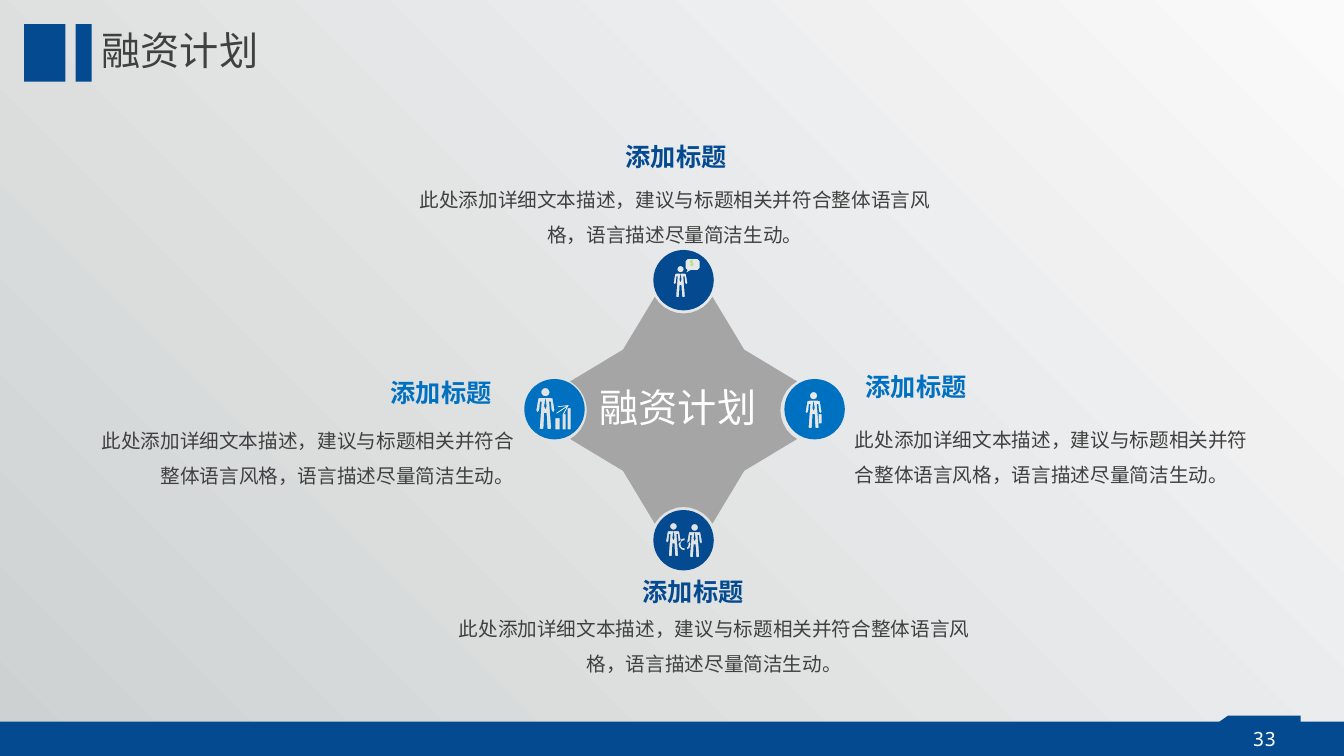
from math import cos, radians, sin

from lxml.etree import SubElement
from pptx import Presentation
from pptx.dml.color import RGBColor
from pptx.enum.shapes import MSO_CONNECTOR, MSO_SHAPE
from pptx.enum.text import MSO_ANCHOR, PP_ALIGN
from pptx.oxml.ns import qn
from pptx.util import Emu, Pt

PX = 9144  # EMU per px, 100 px to the inch

NAVY = RGBColor(0x04, 0x4A, 0x91)
BLUE = RGBColor(0x00, 0x70, 0xC0)
GRAY = RGBColor(0xA5, 0xA5, 0xA5)
DARK = RGBColor(0x40, 0x40, 0x40)
WHITE = RGBColor(0xFF, 0xFF, 0xFF)
LIME = RGBColor(0xB1, 0xDE, 0x64)
BG_DARK = RGBColor(0xCE, 0xD1, 0xD2)
BG_LIGHT = RGBColor(0xFA, 0xFA, 0xFA)

MONO = "Noto Sans Mono"
CJK = "Noto Sans CJK SC"

HUB_X, HUB_Y = 678, 407
ARM = 129
TOPIC = "融资计划"
HEADING = "添加标题"
DETAIL = "此处添加详细文本描述，建议与标题相关并符合整体语言风格，语言描述尽量简洁生动。"

# Right half of a figure, in hundredths of its height
HALF_BODY = [(12, 24), (17, 25), (22, 54), (19, 59), (15, 54), (13, 33),
             (9, 33), (14, 98), (9, 100), (5, 98), (3, 61)]
BODY = HALF_BODY + [(-x, y) for x, y in reversed(HALF_BODY)]
TIE = [(0, 25), (3, 44), (0, 51), (-3, 44)]

BUBBLE = [(682, 257), (692, 257), (694, 259), (694, 266), (692, 268),
          (685, 268), (680, 271), (682, 268), (680, 266), (680, 259)]


def paint(sp, color):
    sp.shadow.inherit = False
    sp.fill.solid()
    sp.fill.fore_color.rgb = color
    sp.line.fill.background()


def add_block(slide, x, y, w, h, color):
    box = [Emu(v * PX) for v in (x, y, w, h)]
    paint(slide.shapes.add_shape(MSO_SHAPE.RECTANGLE, *box), color)


def add_outline(slide, color, *contours):
    """One freeform; a contour inside another one cuts a hole."""
    # Vertices are kept in tenths of a px
    contours = [[(x * 10, y * 10) for x, y in c] for c in contours]
    builder = slide.shapes.build_freeform(*contours[0][0], scale=PX / 10)
    for i, contour in enumerate(contours):
        if i:
            builder.move_to(*contour[0])
        builder.add_line_segments(contour[1:], close=True)
    paint(builder.convert_to_shape(), color)


def add_text(slide, text, x, y, w, h, size, color, font=MONO, bold=False,
             align=PP_ALIGN.LEFT, wrap=True, anchor=MSO_ANCHOR.TOP,
             spacing=None, pad=5):
    sp = slide.shapes.add_textbox(*[Emu(v * PX) for v in (x, y, w, h)])
    tf = sp.text_frame
    tf.word_wrap = wrap
    tf.vertical_anchor = anchor
    tf.margin_top = tf.margin_bottom = Emu(pad * PX)
    p = tf.paragraphs[0]
    p.text = text
    p.alignment = align
    p.line_spacing = spacing
    r = p.runs[0]
    r.font.size = Pt(size)
    r.font.bold = bold
    r.font.color.rgb = color
    r.font.name = font
    SubElement(r.font._element, qn("a:ea")).set("typeface", CJK)


def add_arrow(slide, x1, y1, x2, y2):
    ends = [Emu(v * PX) for v in (x1, y1, x2, y2)]
    cx = slide.shapes.add_connector(MSO_CONNECTOR.STRAIGHT, *ends)
    cx.line.color.rgb = WHITE
    cx.line.width = Pt(0.5)
    SubElement(cx.line._get_or_add_ln(), qn("a:tailEnd")).set("type", "arrow")
    SubElement(cx._element.spPr, qn("a:effectLst"))


def polar(x, y, radius, angle):
    return (x + radius * cos(radians(angle)), y + radius * sin(radians(angle)))


def circle(x, y, radius, step):
    return [polar(x, y, radius, a) for a in range(0, 360, step)]


def rect(x, y, w, h):
    return [(x, y), (x + w, y), (x + w, y + h), (x, y + h)]


def ring_part(x, y, start, end):
    outer = [polar(x, y, 6, a) for a in range(start, end + 1, 30)]
    inner = [polar(x, y, 4, a) for a in range(end, start - 1, -30)]
    return outer + inner


def person(x, top, height):
    """Contours of a standing figure centred on x."""
    scale = height / 100
    parts = [[(x + px * scale, top + py * scale) for px, py in part]
             for part in (BODY, TIE)]
    return [circle(x, top + height * 0.1, height * 0.1, 30)] + parts


def add_icon(slide, x, y, color, *cutouts):
    add_outline(slide, color, circle(x, y, 30, 10), *cutouts)


def add_icons(slide):
    add_icon(slide, 808, 406, BLUE, *person(807, 389, 36),
             rect(812, 411, 3, 9))
    add_icon(slide, 678, 536, NAVY, *person(668, 519, 33),
             *person(689, 520, 33), ring_part(679, 540, 90, 270),
             ring_part(679, 540, -30, 60))
    add_icon(slide, 678, 278, NAVY, *person(675, 264, 31), BUBBLE)
    add_icon(slide, 550, 406, BLUE, *person(541, 385, 41),
             rect(551, 415, 4, 11), rect(558, 411, 3, 15),
             rect(563, 405, 3, 21))
    add_arrow(slide, 552, 410, 564, 402)


def add_star(slide):
    """Four-armed star whose tips are hollowed around the discs."""
    points = []
    for direction in range(-90, 270, 90):
        tip = polar(HUB_X, HUB_Y, ARM, direction)
        points += [polar(*tip, 33, direction + 180 + turn)
                   for turn in range(60, -61, -12)]
        points.append(polar(HUB_X, HUB_Y, 85, direction + 45))
    add_outline(slide, GRAY, points)
    add_text(slide, TOPIC, 585, 375, 177, 57, 28, WHITE, wrap=False)
    add_text(slide, "$", 674, 251, 26, 23, 6, LIME, bold=True)


def add_topic(slide, heading_at, detail_at, detail_width, color, align):
    add_text(slide, HEADING, *heading_at, 121, 40, 18, color, bold=True,
             align=PP_ALIGN.CENTER, wrap=False)
    add_text(slide, DETAIL, *detail_at, detail_width, 66, 14, DARK, font=CJK,
             align=align, anchor=MSO_ANCHOR.MIDDLE, spacing=1.5, pad=0)


def add_frame(slide):
    """Background, title with its marks, and footer with page number."""
    fill = slide.background.fill
    fill.gradient()
    fill.gradient_angle = 45
    for stop, color in zip(fill.gradient_stops, (BG_DARK, BG_LIGHT)):
        stop.color.rgb = color
    for box in ((0, 716, 1333, 34), (1218, 710, 72, 40),
                (24, 24, 41, 57), (75, 24, 16, 57)):
        add_block(slide, *box, NAVY)
    add_outline(slide, NAVY, [(1198, 724), (1218, 710), (1218, 724)])
    add_text(slide, "33", 1232, 716, 44, 34, 14, WHITE,
             align=PP_ALIGN.CENTER, wrap=False)
    add_text(slide, TOPIC, 91, 24, 525, 57, 28, DARK,
             anchor=MSO_ANCHOR.MIDDLE, spacing=0.9)


def main():
    prs = Presentation()
    prs.slide_width, prs.slide_height = Emu(1333 * PX), Emu(750 * PX)
    slide = prs.slides.add_slide(prs.slide_layouts[6])
    add_frame(slide)
    add_icons(slide)
    add_star(slide)
    add_topic(slide, (610, 135), (400, 177), 539, NAVY, PP_ALIGN.CENTER)
    add_topic(slide, (848, 363), (838, 415), 424, BLUE, PP_ALIGN.LEFT)
    add_topic(slide, (627, 567), (439, 602), 539, NAVY, PP_ALIGN.CENTER)
    add_topic(slide, (377, 369), (86, 416), 434, BLUE, PP_ALIGN.RIGHT)
    prs.save("out.pptx")


if __name__ == "__main__":
    main()
